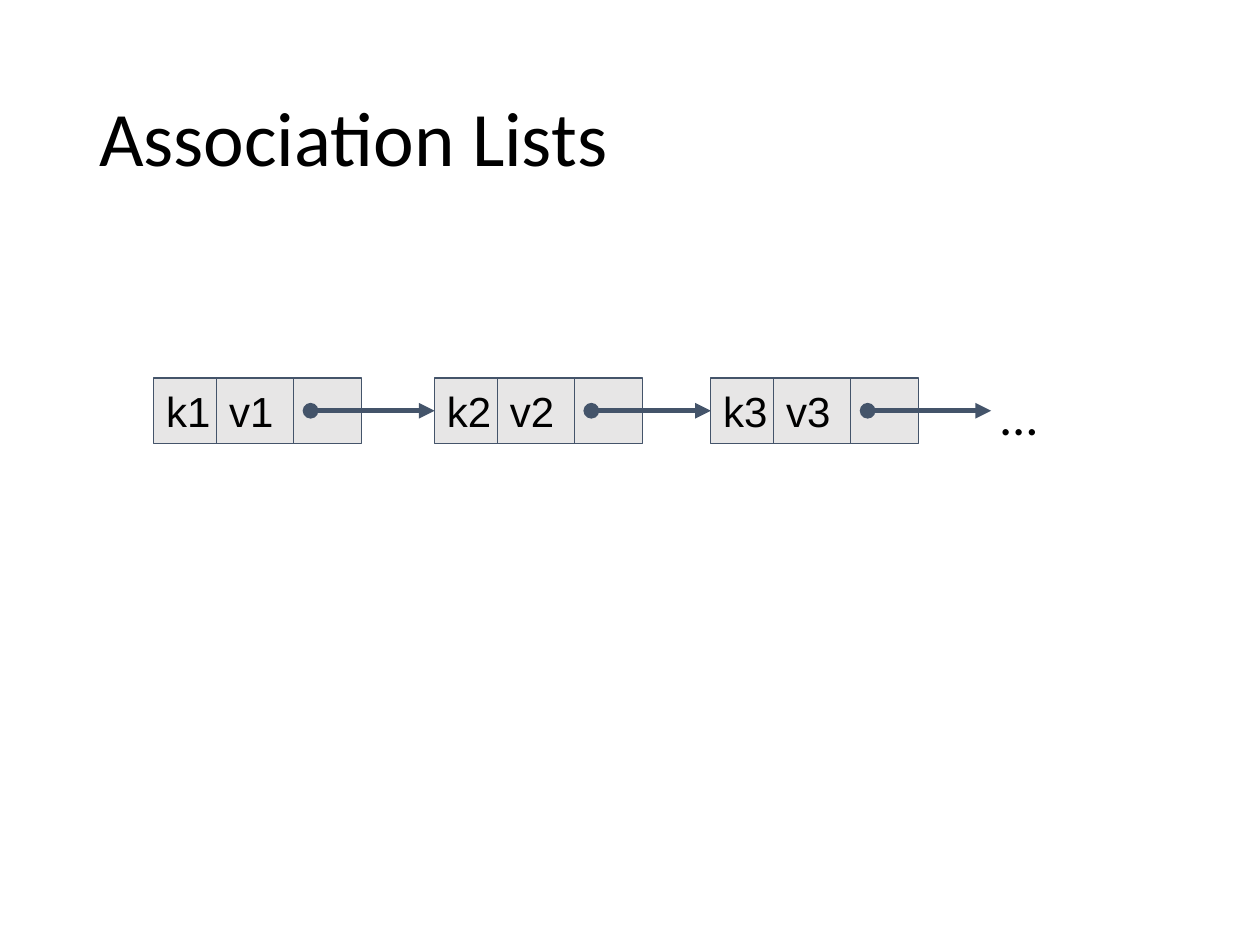
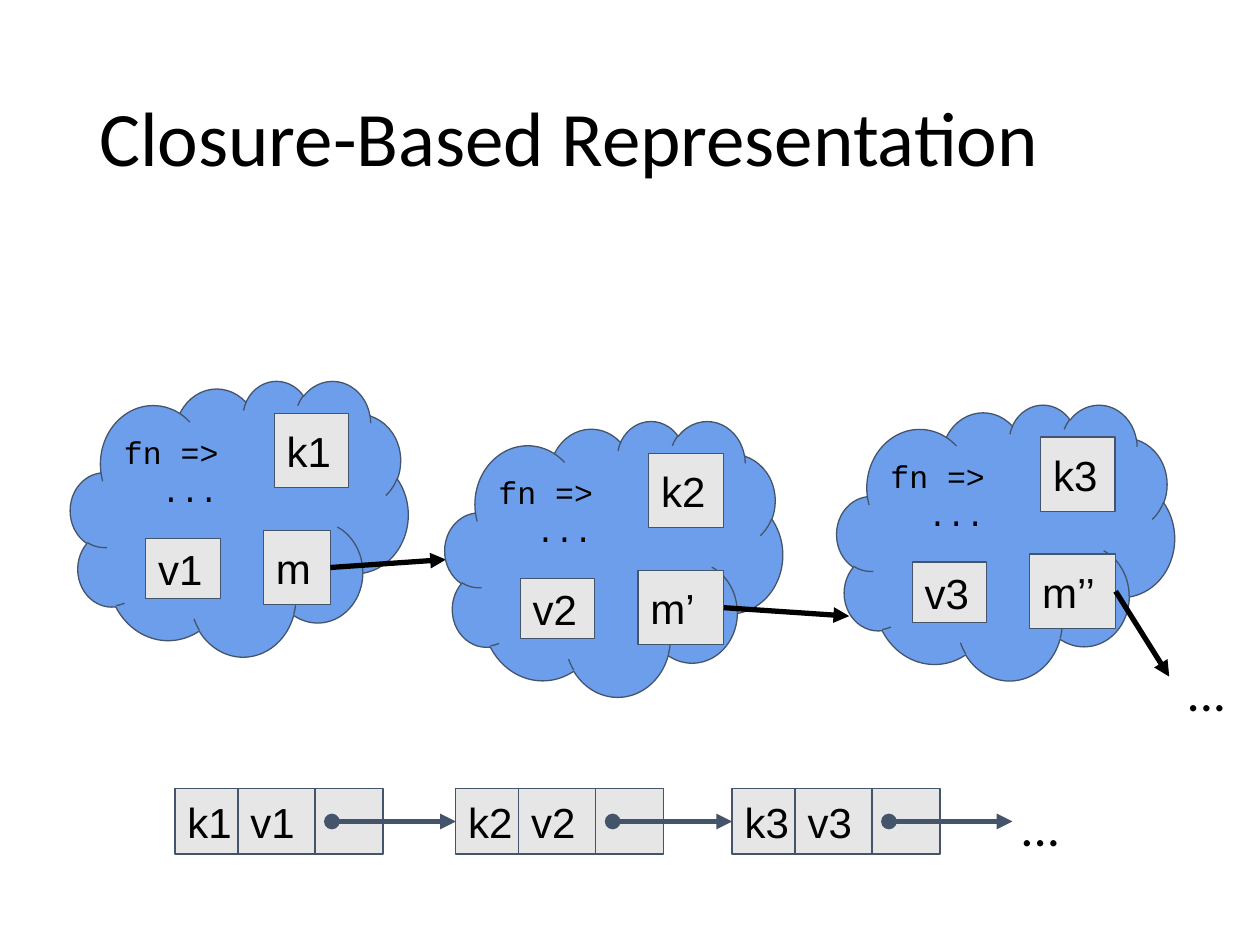
import pptx
import pptx.dml.color
import pptx.enum.shapes
import pptx.enum.text
import pptx.oxml
import pptx.oxml.ns
import pptx.util

Cm, Pt = pptx.util.Cm, pptx.util.Pt
SHAPES = pptx.enum.shapes.MSO_SHAPE
MIDDLE = pptx.enum.text.MSO_ANCHOR.MIDDLE
LEFT_SIDE, RIGHT_SIDE = 1, 3

# Content
LIST_TITLE = "Association Lists"
CLOSURE_TITLE = "Closure-Based Representation"
PAIRS = [("k1", "v1"), ("k2", "v2"), ("k3", "v3")]
CODE = ["fn =>", "..."]
CLOSURES = [  # cloud corner, name of the next map, its width, arrow tip
    ((1.42, 7.67), "m", 1.35, (8.99, 11.28)),
    ((8.97, 8.48), "m’", 1.73, (17.12, 12.42)),
    ((16.87, 8.15), "m’’", 1.73, (23.57, 13.64)),
]

# Shared look, lengths in centimetres
BLACK, SLATE, GREY, BLUE = "000000", "44546A", "E7E6E6", "6D9EEB"
INSET = 0.25
CELL_OFFSETS = [0, 5.66, 11.23]
CELL_WIDTH, CELL_HEIGHT = 4.19, 1.32
POINTER_START, POINTER_LENGTH = 3.16, 2.49


def colour(value):
    return pptx.dml.color.RGBColor.from_string(value)


def write(box, lines, size, font, anchor=pptx.enum.text.MSO_ANCHOR.TOP,
          inset_y=INSET, spacing=None, hanging=0):
    """Write the lines; those after the first are indented by hanging."""
    frame = box.text_frame
    frame.word_wrap = True
    frame.vertical_anchor = anchor
    frame.margin_left = frame.margin_right = Cm(INSET)
    frame.margin_top = frame.margin_bottom = Cm(inset_y)
    for index, text in enumerate(lines):
        para = frame.add_paragraph() if index else frame.paragraphs[0]
        para.alignment = pptx.enum.text.PP_ALIGN.LEFT
        para.line_spacing = spacing
        if index and hanging:
            para._p.get_or_add_pPr().set("marL", str(Cm(hanging)))
        span = para.add_run()
        span.text = text
        span.font.size = Pt(size)
        span.font.name = font
        span.font.color.rgb = colour(BLACK)


def add_text(page, place, lines, size, font, **layout):
    box = page.shapes.add_textbox(*map(Cm, place))
    write(box, lines, size, font, **layout)


def add_outline(page, kind, place, fill):
    shape = page.shapes.add_shape(kind, *map(Cm, place))
    shape.shadow.inherit = False
    shape.fill.solid()
    shape.fill.fore_color.rgb = colour(fill)
    shape.line.color.rgb = colour(SLATE)
    shape.line.width = Pt(0.75)
    return shape


def add_box(page, place, label):
    box = add_outline(page, SHAPES.RECTANGLE, place, GREY)
    write(box, [label], 24, "Arial", anchor=MIDDLE)
    return box


def add_arrow(page, start, end, line_colour, dot=False):
    arrow = page.shapes.add_connector(
        pptx.enum.shapes.MSO_CONNECTOR.STRAIGHT, *map(Cm, start + end))
    arrow.line.color.rgb = colour(line_colour)
    arrow.line.width = Pt(3)
    line = arrow.line._get_or_add_ln()
    ends = [("a:headEnd", "oval")] if dot else []
    for tag, kind in ends + [("a:tailEnd", "triangle")]:
        mark = pptx.oxml.parse_xml(f"<{tag} {pptx.oxml.ns.nsdecls('a')}/>")
        mark.set("type", kind)
        line.append(mark)
    arrow._element.spPr.append(
        pptx.oxml.parse_xml(f"<a:effectLst {pptx.oxml.ns.nsdecls('a')}/>"))
    return arrow


def add_ellipsis(page, left, top):
    add_text(page, (left, top, 1.55, 1.63), ["..."], 30, "Calibri")


def add_page(deck, title):
    page = deck.slides.add_slide(deck.slide_layouts[6])
    add_text(page, (1.75, 1.02, 21.89, 3.68), [title], 44, "Calibri",
             anchor=MIDDLE, inset_y=0.13, spacing=0.9)
    return page


def add_linked_list(page, left, top):
    """Draw the cells, each pointing to the next one."""
    pointer = None
    middle = top + CELL_HEIGHT / 2
    for offset, (key, value) in zip(CELL_OFFSETS, PAIRS):
        x = left + offset
        cell = add_box(page, (x, top, CELL_WIDTH, CELL_HEIGHT), key)
        add_box(page, (x + 1.27, top, 1.55, CELL_HEIGHT), value)
        if pointer is not None:
            pointer.end_connect(cell, LEFT_SIDE)
        start = x + POINTER_START
        pointer = add_arrow(page, (start, middle),
                            (start + POINTER_LENGTH, middle), SLATE, dot=True)
    add_ellipsis(page, left + 16.79, top - 0.15)


def add_closure(page, corner, pair, next_map, next_width, tip):
    """Draw a cloud holding the code and its captured variables."""
    x, y = corner
    key, value = pair
    add_outline(page, SHAPES.CLOUD, (x, y, 6.81, 5.56), BLUE)
    add_text(page, (x + 0.83, y + 0.81, 2.9, 2.08), CODE, 18, "Courier New",
             hanging=0.76)
    add_box(page, (x + 4.11, y + 0.66, 1.5, 1.5), key)
    add_box(page, (x + 1.52, y + 3.18, 1.5, 1.22), value)
    box = add_box(page, (x + 3.89, y + 3.02, next_width, 1.5), next_map)
    arrow = add_arrow(page, corner, tip, BLACK)
    arrow.begin_connect(box, RIGHT_SIDE)


def main():
    deck = pptx.Presentation()
    deck.slide_width, deck.slide_height = Cm(25.4), Cm(19.05)

    # Association list
    page = add_page(deck, LIST_TITLE)
    add_linked_list(page, 3.1, 7.62)

    # Closures above the matching list
    page = add_page(deck, CLOSURE_TITLE)
    for pair, (corner, next_map, width, tip) in zip(PAIRS, CLOSURES):
        add_closure(page, corner, pair, next_map, width, tip)
    add_ellipsis(page, 23.67, 13.03)
    add_linked_list(page, 3.53, 15.9)

    deck.save("out.pptx")


if __name__ == "__main__":
    main()
